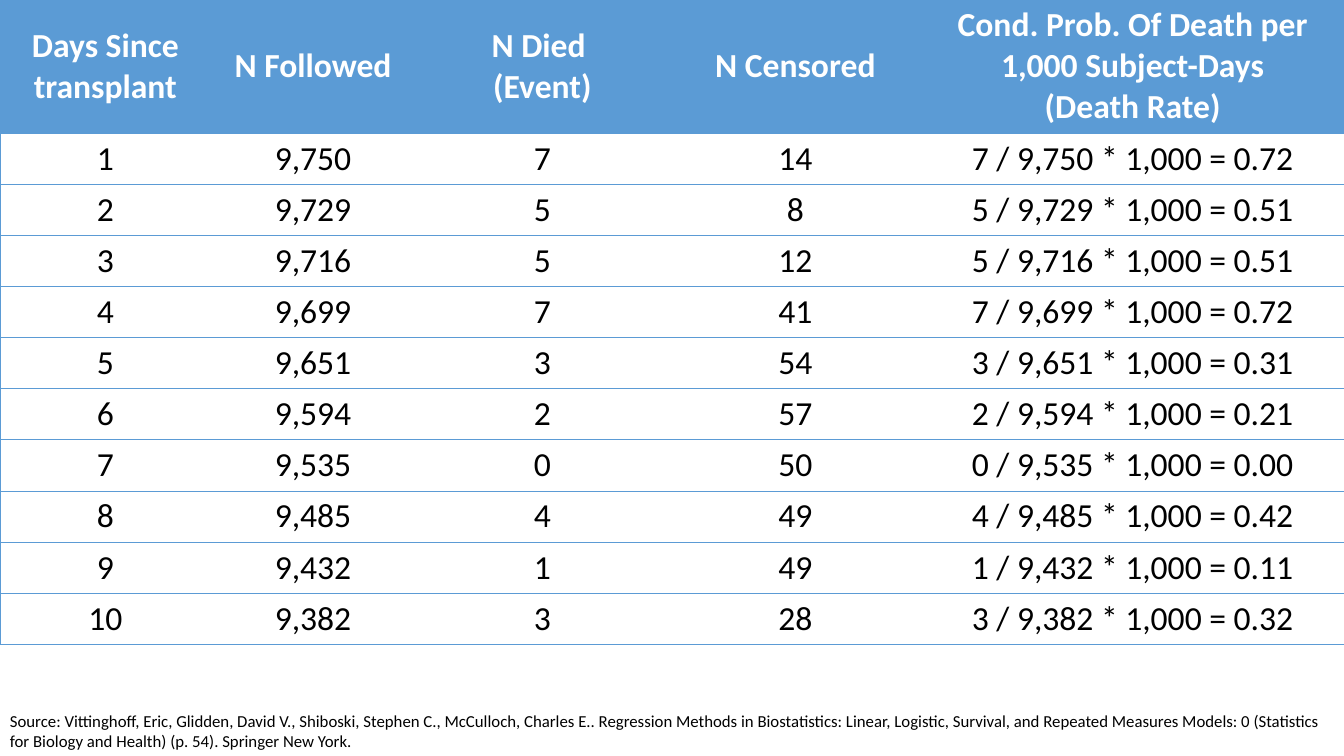
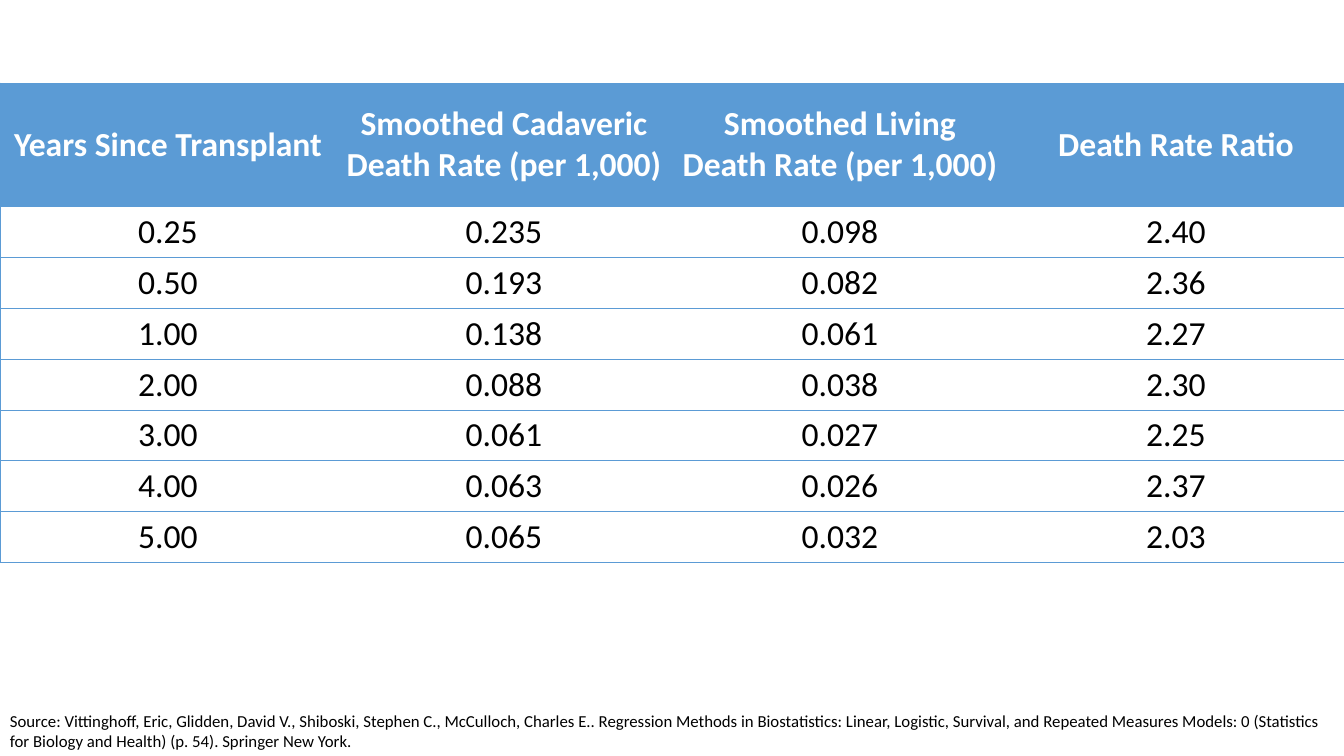
from dataclasses import dataclass

from lxml.etree import SubElement
from pptx import Presentation
from pptx.dml.color import RGBColor
from pptx.enum.text import MSO_ANCHOR as Anchor, MSO_AUTO_SIZE as AutoSize, PP_ALIGN as Align
from pptx.oxml.ns import qn
from pptx.slide import Slide
from pptx.table import _Cell as Cell
from pptx.text.text import TextFrame
from pptx.util import Cm, Pt

SLIDE_W, SLIDE_H = 33.87, 19.05
HEADER_H, ROW_H = 3.12, 1.28
SOURCE_H = 1.27
FONT = "Calibri"
BLUE, WHITE, BLACK = "5B9BD5", "FFFFFF", "000000"
BORDER_PT = 0.5
SOURCE = (
    "Source: Vittinghoff, Eric, Glidden, David V., Shiboski, Stephen C., McCulloch, Charles E.. "
    "Regression Methods in Biostatistics: Linear, Logistic, Survival, and Repeated Measures Models: 0 "
    "(Statistics for Biology and Health) (p. 54). Springer New York."
)


@dataclass(frozen=True)
class TableSpec:
    top: float
    widths: list[float]
    header: list[str]
    rows: list[list[str]]


# days since transplant, followed, died, censored
DAILY_COUNTS = [
    (1, 9750, 7, 14),
    (2, 9729, 5, 8),
    (3, 9716, 5, 12),
    (4, 9699, 7, 41),
    (5, 9651, 3, 54),
    (6, 9594, 2, 57),
    (7, 9535, 0, 50),
    (8, 9485, 4, 49),
    (9, 9432, 1, 49),
    (10, 9382, 3, 28),
]


def daily_row(day: int, followed: int, died: int, censored: int) -> list[str]:
    rate = f"{died} / {followed:,} * 1,000 = {died / followed * 1000:.2f}"
    return [str(day), f"{followed:,}", str(died), str(censored), rate]


DAILY_RATES = TableSpec(
    top=0,
    widths=[5.31, 5.16, 6.4, 6.35, 10.65],
    header=[
        "Days Since transplant",
        "N Followed",
        "N Died \n(Event)",
        "N Censored",
        "Cond. Prob. Of Death per 1,000 Subject-Days\n(Death Rate)",
    ],
    rows=[daily_row(*counts) for counts in DAILY_COUNTS],
)

SMOOTHED_RATES = TableSpec(
    top=2.09,
    widths=[SLIDE_W / 4] * 4,
    header=[
        "Years Since Transplant",
        "Smoothed Cadaveric Death Rate (per 1,000)",
        "Smoothed Living Death Rate (per 1,000)",
        "Death Rate Ratio",
    ],
    rows=[
        ["0.25", "0.235", "0.098", "2.40"],
        ["0.50", "0.193", "0.082", "2.36"],
        ["1.00", "0.138", "0.061", "2.27"],
        ["2.00", "0.088", "0.038", "2.30"],
        ["3.00", "0.061", "0.027", "2.25"],
        ["4.00", "0.063", "0.026", "2.37"],
        ["5.00", "0.065", "0.032", "2.03"],
    ],
)


def rgb(color: str) -> RGBColor:
    return RGBColor.from_string(color)


def write(tf: TextFrame, text: str, *, size: float, color: str = BLACK,
          bold: bool = False, align: Align = Align.LEFT) -> None:
    """Fill a text frame, one paragraph per line of text."""
    for i, line in enumerate(text.split("\n")):
        p = tf.add_paragraph() if i else tf.paragraphs[0]
        p.alignment = align
        r = p.add_run()
        r.text = line
        r.font.name = FONT
        r.font.size = Pt(size)
        r.font.bold = bold
        r.font.color.rgb = rgb(color)


def set_borders(cell: Cell, sides: str) -> None:
    """Draw the named sides (of L, R, T, B) and clear the others."""
    tc_pr = cell._tc.get_or_add_tcPr()
    for side in "LRTB":
        ln = SubElement(tc_pr, qn(f"a:ln{side}"), w=str(Pt(BORDER_PT)))
        if side in sides:
            fill = SubElement(ln, qn("a:solidFill"))
            SubElement(fill, qn("a:srgbClr"), val=BLUE)
        else:
            SubElement(ln, qn("a:noFill"))


def add_rate_table(s: Slide, spec: TableSpec) -> None:
    texts = [spec.header, *spec.rows]
    heights = [HEADER_H] + [ROW_H] * len(spec.rows)
    table = s.shapes.add_table(
        len(texts), len(spec.widths), Cm(0), Cm(spec.top), Cm(SLIDE_W), Cm(sum(heights))
    ).table
    table.horz_banding = False
    for column, width in zip(table.columns, spec.widths):
        column.width = Cm(width)
    for row, height in zip(table.rows, heights):
        row.height = Cm(height)

    last = len(spec.widths) - 1
    for i, row_texts in enumerate(texts):
        is_header = i == 0
        for j, text in enumerate(row_texts):
            cell = table.cell(i, j)
            set_borders(cell, "TB" + ("L" if j == 0 else "") + ("R" if j == last else ""))
            cell.fill.solid()
            cell.fill.fore_color.rgb = rgb(BLUE if is_header else WHITE)
            cell.vertical_anchor = Anchor.MIDDLE
            write(cell.text_frame, text, size=24, bold=is_header,
                  color=WHITE if is_header else BLACK, align=Align.CENTER)


def add_source(s: Slide) -> None:
    box = s.shapes.add_textbox(Cm(0), Cm(SLIDE_H - SOURCE_H), Cm(SLIDE_W), Cm(SOURCE_H))
    tf = box.text_frame
    tf.word_wrap = True
    tf.auto_size = AutoSize.SHAPE_TO_FIT_TEXT
    write(tf, SOURCE, size=12)


def main() -> None:
    prs = Presentation()
    prs.slide_width, prs.slide_height = Cm(SLIDE_W), Cm(SLIDE_H)
    blank = prs.slide_layouts[6]
    for spec in (DAILY_RATES, SMOOTHED_RATES):
        s = prs.slides.add_slide(blank)
        add_rate_table(s, spec)
        add_source(s)
    prs.save("out.pptx")


if __name__ == "__main__":
    main()
